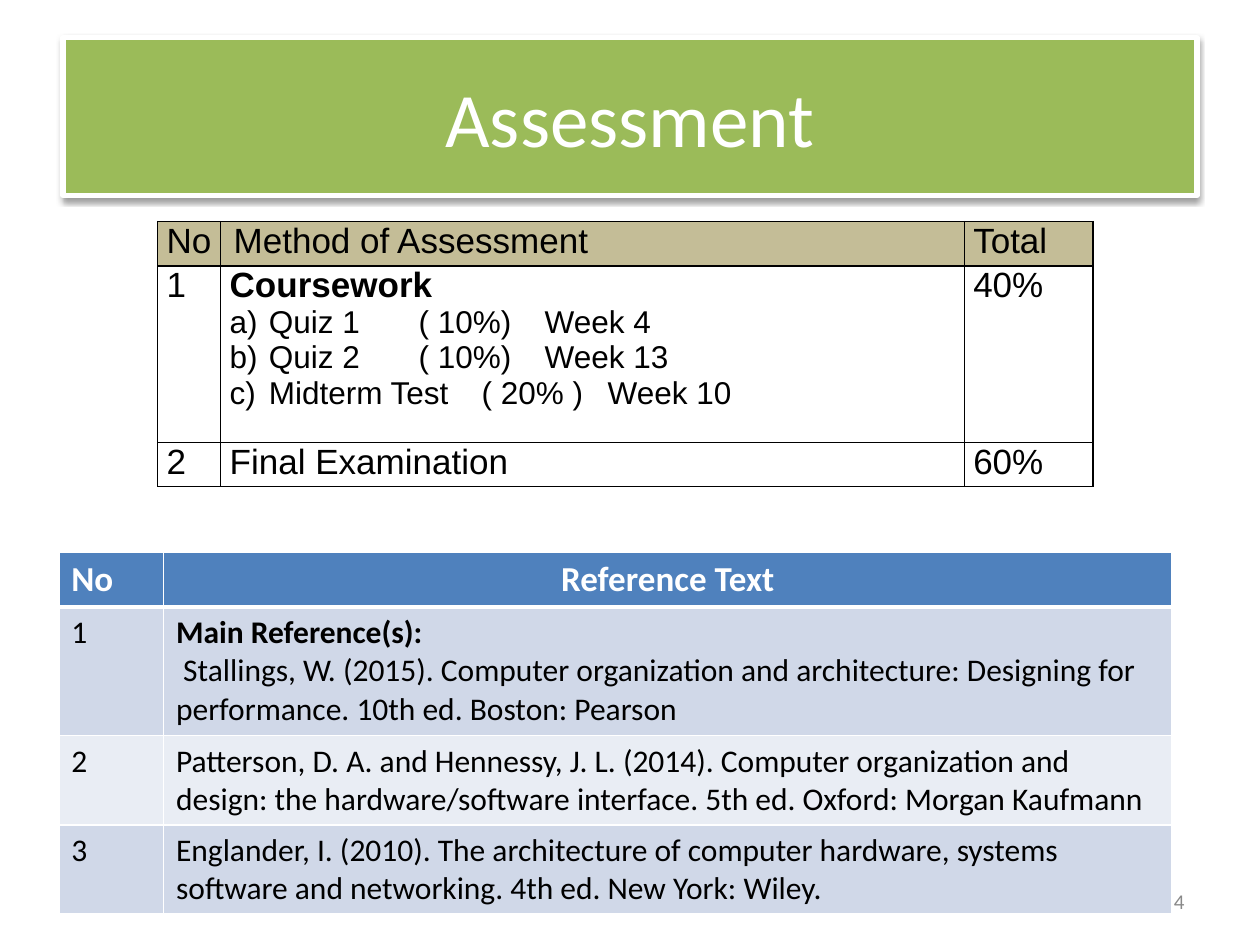
"""Build the assessment slide with its marks table and reference table."""
from dataclasses import dataclass
from typing import Optional

from lxml.etree import SubElement
from pptx import Presentation
from pptx.dml.color import RGBColor
from pptx.enum.shapes import MSO_SHAPE
from pptx.enum.text import MSO_ANCHOR, PP_ALIGN
from pptx.oxml.ns import qn
from pptx.util import Cm, Pt

BLACK = RGBColor(0x00, 0x00, 0x00)
WHITE = RGBColor(0xFF, 0xFF, 0xFF)
GREY = RGBColor(0x89, 0x89, 0x89)
GREEN = RGBColor(0x9B, 0xBB, 0x59)
TAN = RGBColor(0xC4, 0xBD, 0x97)
BLUE = RGBColor(0x4F, 0x81, 0xBD)
PALE = RGBColor(0xD0, 0xD8, 0xE8)
LIGHT = RGBColor(0xE9, 0xED, 0xF4)


@dataclass(frozen=True)
class Font:
    name: str
    size: int
    color: RGBColor = BLACK
    bold: bool = False


@dataclass(frozen=True)
class Line:
    text: str
    font: Font
    align: PP_ALIGN = PP_ALIGN.LEFT
    indent: float = 0
    listed: bool = False


@dataclass(frozen=True)
class Row:
    height: float
    cells: tuple
    fill: Optional[RGBColor] = None
    base: float = 1


@dataclass(frozen=True)
class Grid:
    left: float
    top: float
    cols: tuple
    rows: tuple
    edge: RGBColor
    pad: tuple


MARK = Font("Arial", 20)
STRONG = Font("Arial", 20, bold=True)
ITEM = Font("Arial", 18)
HEAD = Font("Calibri", 20, WHITE, True)
BODY = Font("Calibri", 18)
MAIN = Font("Calibri", 18, bold=True)

TESTS = ("Quiz 1\t( 10%)\tWeek 4", "Quiz 2\t( 10%)\tWeek 13",
         "Midterm Test\t( 20% )\tWeek 10")

MARKS = Grid(3.18, 4.47, (1.27, 14.99, 2.59), (
    Row(0.89, ((Line("No", MARK),),
               (Line("Method of Assessment", MARK, indent=0.08),),
               (Line("Total", MARK),)), TAN),
    Row(3.56, ((Line("1", MARK),),
               (Line("Coursework", STRONG),
                *(Line(test, ITEM, indent=0.79, listed=True) for test in TESTS)),
               (Line("40%", MARK),))),
    Row(0.89, ((Line("2", MARK),), (Line("Final Examination", MARK),),
               (Line("60%", MARK),))),
), BLACK, (0.18, 0))

BOOKS = Grid(1.19, 11.13, (2.11, 20.32), (
    Row(1.09, ((Line("No", HEAD),),
               (Line("Reference Text", HEAD, PP_ALIGN.CENTER),)), BLUE, 3),
    Row(2.59, ((Line("1", BODY),),
               (Line("Main Reference(s):", MAIN),
                Line(" Stallings, W. (2015). Computer organization and architecture: "
                     "Designing for performance. 10th ed. Boston: Pearson", BODY))), PALE),
    Row(1.8, ((Line("2", BODY),),
              (Line("Patterson, D. A. and Hennessy, J. L. (2014). Computer organization "
                    "and design: the hardware/software interface. 5th ed. Oxford: "
                    "Morgan Kaufmann", BODY),)), LIGHT),
    Row(1.8, ((Line("3", BODY),),
              (Line("Englander, I. (2010). The architecture of computer hardware, "
                    "systems software and networking. 4th ed. New York: Wiley.", BODY),)),
        PALE),
), WHITE, (0.25, 0.13))


def write(frame, lines: tuple) -> None:
    """Fill a text frame with the given lines."""
    frame.word_wrap = True
    for num, line in enumerate(lines):
        para = frame.add_paragraph() if num else frame.paragraphs[0]
        para.alignment = line.align
        if line.indent:
            props = para._p.get_or_add_pPr()
            props.set("marL", str(Cm(line.indent)))
            if line.listed:
                props.set("indent", str(-Cm(line.indent)))
                SubElement(props, qn("a:buAutoNum"), type="alphaLcParenR")
        run = para.add_run()
        run.text = line.text
        run.font.name = line.font.name
        run.font.size = Pt(line.font.size)
        run.font.bold = line.font.bold
        run.font.color.rgb = line.font.color


def border(cell, color: RGBColor, widths: dict) -> None:
    """Draw the four edges of a cell."""
    props = cell._tc.get_or_add_tcPr()
    for side, width in widths.items():
        edge = SubElement(props, qn(f"a:ln{side}"), w=str(Pt(width)))
        fill = SubElement(edge, qn("a:solidFill"))
        SubElement(fill, qn("a:srgbClr"), val=str(color))


def draw(slide, grid: Grid) -> None:
    """Add a table to the slide."""
    table = slide.shapes.add_table(
        len(grid.rows), len(grid.cols), Cm(grid.left), Cm(grid.top),
        Cm(sum(grid.cols)), Cm(sum(row.height for row in grid.rows))).table
    table.horz_banding = False
    for col, width in zip(table.columns, grid.cols):
        col.width = Cm(width)
    above = 1
    for num, row in enumerate(grid.rows):
        table.rows[num].height = Cm(row.height)
        for pos, lines in enumerate(row.cells):
            cell = table.cell(num, pos)
            cell.margin_left = cell.margin_right = Cm(grid.pad[0])
            cell.margin_top = cell.margin_bottom = Cm(grid.pad[1])
            border(cell, grid.edge, {"L": 1, "R": 1, "T": above, "B": row.base})
            if row.fill is None:
                cell.fill.background()
            else:
                cell.fill.solid()
                cell.fill.fore_color.rgb = row.fill
            write(cell.text_frame, lines)
        above = row.base


def banner(slide, line: Line) -> None:
    """Add the title panel with its white rim and soft shadow."""
    panel = slide.shapes.add_shape(MSO_SHAPE.RECTANGLE, Cm(1.27), Cm(0.76), Cm(22.86), Cm(3.18))
    panel.fill.solid()
    panel.fill.fore_color.rgb = GREEN
    panel.line.color.rgb = WHITE
    panel.line.width = Pt(3)
    panel.shadow.inherit = False
    glow = SubElement(panel._element.spPr.find(qn("a:effectLst")), qn("a:outerShdw"),
                      blurRad=str(Pt(3)), dist=str(Pt(2)), dir="5400000", rotWithShape="0")
    tint = SubElement(glow, qn("a:srgbClr"), val=str(BLACK))
    SubElement(tint, qn("a:alpha"), val="38000")
    panel.text_frame.vertical_anchor = MSO_ANCHOR.MIDDLE
    write(panel.text_frame, (line,))


def main() -> None:
    """Build and save the slide."""
    deck = Presentation()
    deck.slide_width, deck.slide_height = Cm(25.4), Cm(19.05)
    slide = deck.slides.add_slide(deck.slide_layouts[6])
    banner(slide, Line("Assessment", Font("Calibri", 44, WHITE), PP_ALIGN.CENTER))
    page = slide.shapes.add_textbox(Cm(18.2), Cm(17.66), Cm(5.93), Cm(1.01)).text_frame
    page.vertical_anchor = MSO_ANCHOR.MIDDLE
    write(page, (Line("4", Font("Calibri", 12, GREY), PP_ALIGN.RIGHT),))
    for grid in (MARKS, BOOKS):
        draw(slide, grid)
    deck.save("out.pptx")


if __name__ == "__main__":
    main()
